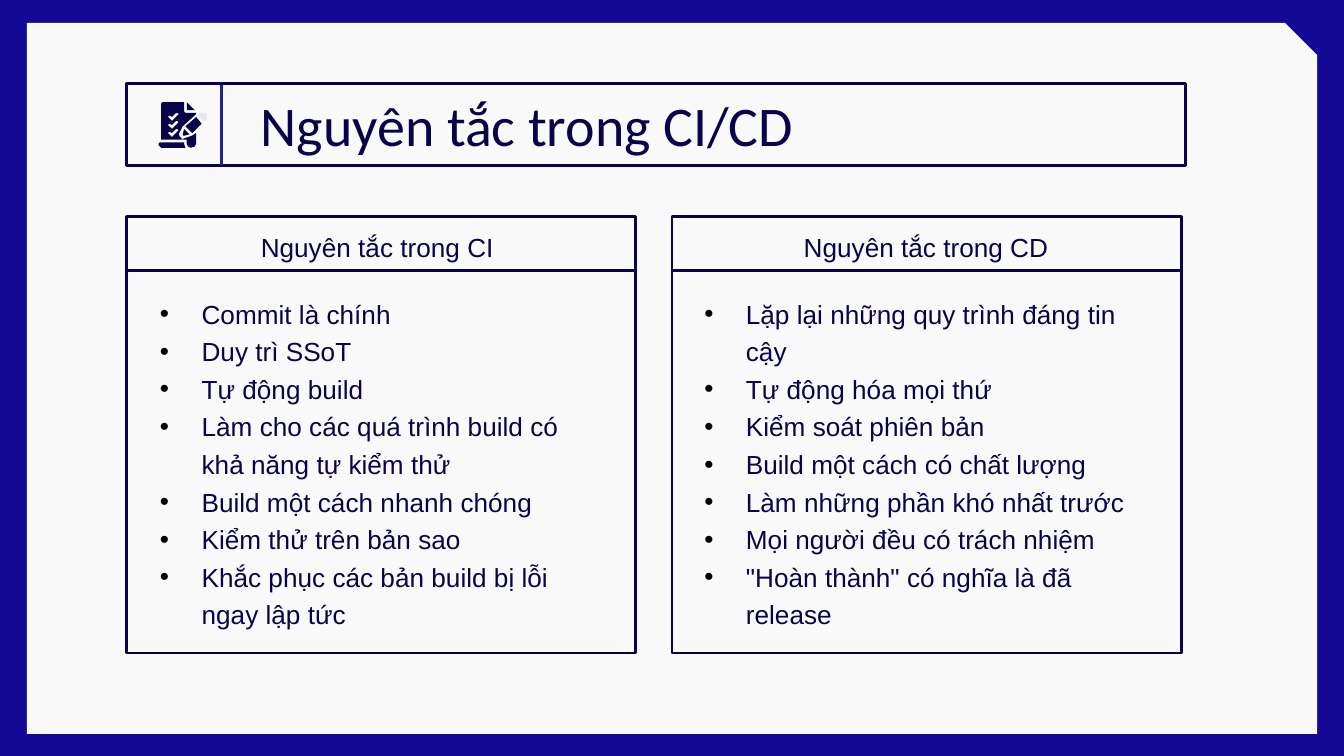
from dataclasses import dataclass
from typing import Any

from lxml import etree
from pptx import Presentation
from pptx import util as u
from pptx.dml.color import RGBColor
from pptx.enum import shapes, text
from pptx.oxml.ns import qn

COLUMNS = 1000
COMPARISON_LAYOUT = 4


def colour(value):
    return RGBColor.from_string(value)


@dataclass
class Board:
    slide: Any
    cell: int
    ink: str = "09044A"
    paper: str = "F9F9F9"
    stroke: float = 1.5

    def span(self, cells):
        return u.Emu(round(cells * self.cell))

    def paint(self, shape, fill, line=None):
        shape.shadow.inherit = False
        shape.fill.solid()
        shape.fill.fore_color.rgb = colour(fill)
        if line:
            shape.line.color.rgb = colour(line)
            shape.line.width = u.Pt(self.stroke)
        else:
            shape.line.fill.background()

    def panel(self, *at, kind=shapes.MSO_SHAPE.RECTANGLE, line=None):
        shape = self.slide.shapes.add_shape(kind, *map(self.span, at))
        self.paint(shape, self.paper, line)
        return shape

    def rule(self, *ends, line=None):
        connector = self.slide.shapes.add_connector(
            shapes.MSO_CONNECTOR.STRAIGHT, *map(self.span, ends))
        connector.line.color.rgb = colour(line or self.ink)
        connector.line.width = u.Pt(self.stroke)
        etree.SubElement(connector.element.spPr, qn("a:effectLst"))

    def icon(self, parts):
        group = self.slide.shapes.add_group_shape()
        for fill, outlines in parts:
            first, *holes = outlines
            builder = group.shapes.build_freeform(*first[0], scale=self.cell)
            builder.add_line_segments(first[1:])
            for hole in holes:
                builder.move_to(*hole[0])
                builder.add_line_segments(hole[1:])
            self.paint(builder.convert_to_shape(), fill)

    def bullet(self, paragraph, indent):
        properties = paragraph._p.get_or_add_pPr()
        properties.set("marL", str(self.span(indent)))
        properties.set("indent", str(self.span(-indent)))
        tint = etree.SubElement(properties, qn("a:buClr"))
        etree.SubElement(tint, qn("a:srgbClr"), val="000000")
        etree.SubElement(properties, qn("a:buChar"), char="•")

    def label(self, wording, *, place, at, size=14, font="Arial", leading=1.0, indent=0):
        holder = self.slide.placeholders[place]
        holder.left, holder.top, holder.width, holder.height = map(self.span, at)
        self.slide.shapes.element.append(holder.element)
        frame = holder.text_frame
        frame.text = wording
        frame.word_wrap = True
        frame.auto_size = text.MSO_AUTO_SIZE.NONE
        frame.vertical_anchor = text.MSO_ANCHOR.TOP
        for paragraph in frame.paragraphs:
            paragraph.alignment = text.PP_ALIGN.LEFT
            paragraph.line_spacing = leading
            paragraph.space_before = u.Pt(0)
            for run in paragraph.runs:
                run.font.name = font
                run.font.size = u.Pt(size)
                run.font.bold = False
                run.font.color.rgb = colour(self.ink)
            if indent:
                self.bullet(paragraph, indent)


def checklist_icon(ink):
    tick = [(132, 84), (133, 85), (128, 90), (125, 87), (126, 86), (128, 87), (131, 84)]
    ticks = [[(x, y + drop) for x, y in tick] for drop in (0, 6, 12)]
    page = [(121, 76), (120, 77), (120, 104), (139, 104), (139, 107), (140, 109),
            (142, 110), (145, 109), (146, 107), (146, 99), (143, 101), (137, 103),
            (136, 104), (134, 102), (133, 100), (136, 94), (146, 85), (146, 84),
            (138, 84), (137, 83), (137, 76)]
    eraser = [(151, 84), (149, 84), (147, 86), (152, 90), (154, 88), (154, 85), (152, 84)]
    nib = [(137, 96), (136, 100), (136, 101), (137, 101), (141, 100)]
    pencil = [(146, 87), (138, 94), (143, 99), (150, 92)]
    fold = [(139, 76), (139, 82), (145, 82)]
    scroll = [(119, 106), (118, 107), (118, 108), (119, 109), (120, 110), (138, 110),
              (137, 107), (137, 106)]
    return [(ink, [page, *ticks]), ("E8E8E8", [eraser]),
            *((ink, [part]) for part in (nib, pencil, fold, scroll))]


PRINCIPLES = [
    {
        "left": 94,
        "heading": "Nguyên tắc trong CI",
        "heading_at": (184, 167, 263, 34),
        "list_at": (109, 212, 353, 288),
        "items": ["Commit là chính", "Duy trì SSoT", "Tự động build",
                  "Làm cho các quá trình build có khả năng tự kiểm thử",
                  "Build một cách nhanh chóng", "Kiểm thử trên bản sao",
                  "Khắc phục các bản build bị lỗi ngay lập tức"],
    },
    {
        "left": 500,
        "heading": "Nguyên tắc trong CD",
        "heading_at": (588, 167, 229, 57),
        "list_at": (514, 212, 356, 288),
        "items": ["Lặp lại những quy trình đáng tin cậy", "Tự động hóa mọi thứ",
                  "Kiểm soát phiên bản", "Build một cách có chất lượng",
                  "Làm những phần khó nhất trước", "Mọi người đều có trách nhiệm",
                  "\"Hoàn thành\" có nghĩa là đã release"],
    },
]


def main():
    deck = Presentation()
    deck.slide_width = u.Inches(10)
    deck.slide_height = deck.slide_width * 9 // 16
    slide = deck.slides.add_slide(deck.slide_layouts[COMPARISON_LAYOUT])
    slide.background.fill.solid()
    slide.background.fill.fore_color.rgb = colour("130994")
    board = Board(slide, deck.slide_width // COLUMNS)

    sheet = board.panel(20, 17, 960, 529, kind=shapes.MSO_SHAPE.SNIP_1_RECTANGLE)
    sheet.adjustments[0] = 0.045

    board.panel(94, 62, 788, 61, line=board.ink)
    board.icon(checklist_icon(board.ink))
    board.rule(165, 63, 165, 123, line="1C258D")
    board.label("Nguyên tắc trong CI/CD", place=0, at=(184, 62, 450, 61),
                size=30, font="Calibri")

    for column, topic in enumerate(PRINCIPLES):
        left, width = topic["left"], 379
        board.panel(left, 161, width, 325, line=board.ink)
        board.rule(left, 201, left + width, 201)
        board.label(topic["heading"], place=1 + 2 * column, at=topic["heading_at"])
        board.label("\n".join(topic["items"]), place=2 + 2 * column,
                    at=topic["list_at"], leading=1.2, indent=31)

    deck.save("out.pptx")


if __name__ == "__main__":
    main()
